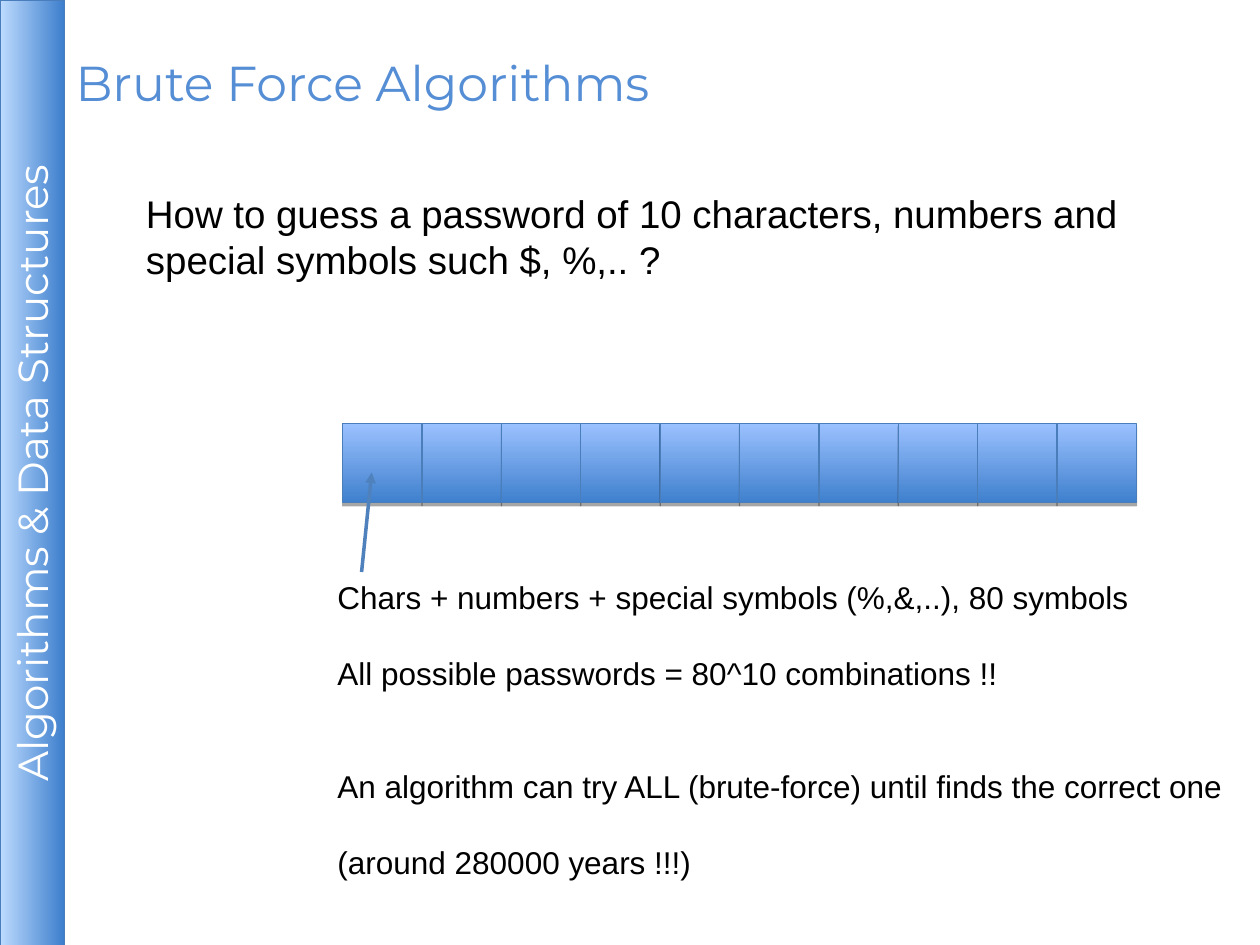
from lxml.etree import SubElement
from pptx import Presentation
from pptx.dml.color import RGBColor
from pptx.enum.shapes import MSO_CONNECTOR, MSO_SHAPE
from pptx.enum.text import MSO_ANCHOR, PP_ALIGN
from pptx.oxml.ns import qn
from pptx.util import Inches, Pt


def rgb(value):
    return RGBColor.from_string(value)


def add_text(p, text, size, font, color):
    r = p.add_run()
    r.text = text
    r.font.size = Pt(size)
    r.font.name = font
    r.font.color.rgb = rgb(color)


def add_shadow(sp, color):
    sp.shadow.inherit = False
    effects = sp._element.spPr.find(qn("a:effectLst"))
    shadow = SubElement(effects, qn("a:outerShdw"), blurRad="0",
                        dist=str(Pt(1.8)), dir="5400000", rotWithShape="0")
    clr = SubElement(shadow, qn("a:srgbClr"), val=color)
    SubElement(clr, qn("a:alpha"), val="35000")


def gradient_box(s, left, top, width, height, colors, angle, line, shadow):
    sp = s.shapes.add_shape(MSO_SHAPE.RECTANGLE, Inches(left), Inches(top),
                            Inches(width), Inches(height))
    sp.fill.gradient()
    sp.fill.gradient_angle = angle
    for stop, color, position in zip(sp.fill.gradient_stops, colors, (0, 1)):
        stop.color.rgb = rgb(color)
        stop.position = position
    sp.line.color.rgb = rgb(line)
    sp.line.width = Pt(0.74)
    add_shadow(sp, shadow)
    return sp


def sidebar(s, left, top, width, height):
    sp = gradient_box(s, left + (width - height) / 2, top + (height - width) / 2,
                      height, width, ("BDDBFE", "3E7FCD"), 270, "4A7DBB", "EEECE1")
    sp.rotation = 270
    tf = sp.text_frame
    tf.margin_left = tf.margin_right = tf.margin_top = tf.margin_bottom = Inches(0.04)
    tf.vertical_anchor = MSO_ANCHOR.MIDDLE
    p = tf.paragraphs[0]
    p.alignment = PP_ALIGN.CENTER
    add_text(p, "Algorithms & Data Structures", 24, "Montserrat", "FFFFFF")


def title(s, left, top, width, height):
    sp = s.shapes.title
    sp.left, sp.top = Inches(left), Inches(top)
    sp.width, sp.height = Inches(width), Inches(height)
    tf = sp.text_frame
    tf.vertical_anchor = MSO_ANCHOR.MIDDLE
    p = tf.paragraphs[0]
    p.alignment = PP_ALIGN.LEFT
    add_text(p, "Brute Force Algorithms", 28, "Montserrat", "558ED5")


def password_cells(s, left, top, size, count):
    for i in range(count):
        gradient_box(s, left + i * size, top, size, size,
                     ("3F80CD", "9BC1FF"), 90, "4A7EBB", "000000")


def arrow(s, x1, y1, x2, y2):
    line = s.shapes.add_connector(MSO_CONNECTOR.STRAIGHT, Inches(x1), Inches(y1),
                                  Inches(x2), Inches(y2))
    line.line.color.rgb = rgb("4F81BD")
    line.line.width = Pt(2)
    SubElement(line.line._get_or_add_ln(), qn("a:tailEnd"), type="triangle")
    SubElement(line._element.spPr, qn("a:effectLst"))


def text_lines(s, left, top, width, height, lines, size, pitch, wrap):
    sp = s.shapes.add_textbox(Inches(left), Inches(top), Inches(width), Inches(height))
    tf = sp.text_frame
    tf.word_wrap = wrap
    for i, (text, gap) in enumerate(lines):
        p = tf.add_paragraph() if i else tf.paragraphs[0]
        p.line_spacing = Pt(pitch)
        p.space_before = Pt(gap * pitch)
        add_text(p, text, size, "Arial", "000000")


QUESTION = [
    ("How to guess a password of 10 characters, numbers and", 0),
    ("special symbols such $, %,.. ?", 0),
]
EXPLANATION = [
    ("Chars + numbers + special symbols (%,&,..), 80 symbols", 0),
    ("All possible passwords = 80^10 combinations !!", 1),
    ("An algorithm can try ALL (brute-force) until finds the correct one", 2),
    ("(around 280000 years !!!)", 1),
]

prs = Presentation()
prs.slide_width, prs.slide_height = Inches(10), Inches(7.5)
s = prs.slides.add_slide(prs.slide_layouts[5])
sidebar(s, 0, 0, 0.51, 7.51)
title(s, 0.5, 0.3, 7.42, 0.7)
text_lines(s, 1.06, 1.46, 8.35, 0.84, QUESTION, 22, 26.4, True)
password_cells(s, 2.72, 3.36, 0.63, 10)
arrow(s, 2.87, 4.54, 2.95, 3.75)
text_lines(s, 2.58, 4.54, 7.24, 3.1, EXPLANATION, 18, 21.6, False)
prs.save("out.pptx")
